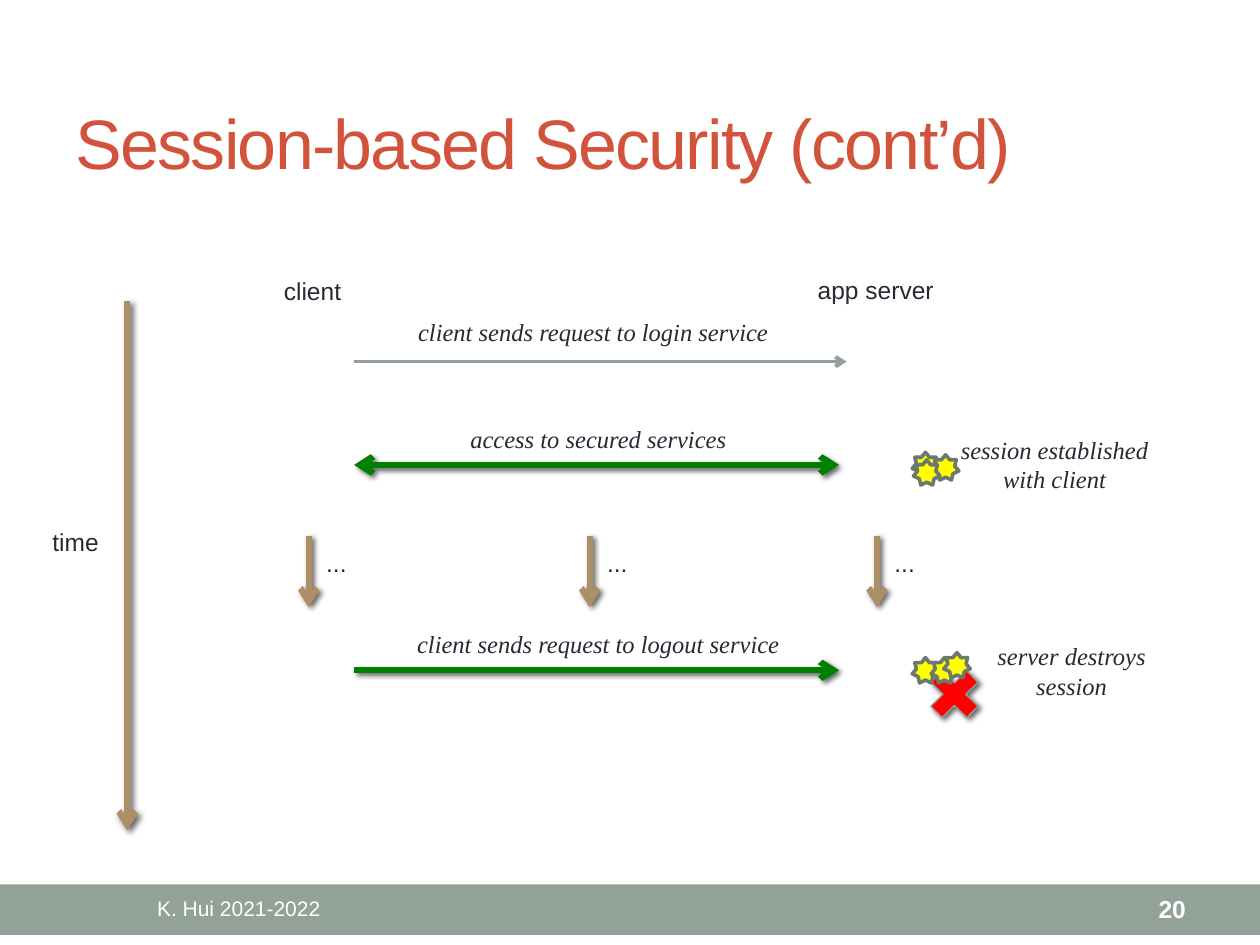
from lxml import etree
from pptx import Presentation
from pptx.dml.color import RGBColor
from pptx.enum.shapes import MSO_CONNECTOR, MSO_SHAPE
from pptx.enum.text import MSO_ANCHOR, MSO_AUTO_SIZE, PP_ALIGN
from pptx.oxml.ns import qn
from pptx.util import Inches, Pt

STRAIGHT = MSO_CONNECTOR.STRAIGHT
RECT, STAR, CROSS = MSO_SHAPE.RECTANGLE, MSO_SHAPE.STAR_7_POINT, MSO_SHAPE.MATH_MULTIPLY
TOP, MIDDLE = MSO_ANCHOR.TOP, MSO_ANCHOR.MIDDLE
LEFT, CENTER, RIGHT = PP_ALIGN.LEFT, PP_ALIGN.CENTER, PP_ALIGN.RIGHT
NO_FIT, GROW = MSO_AUTO_SIZE.NONE, MSO_AUTO_SIZE.SHAPE_TO_FIT_TEXT
SANS, SERIF = "Arial", "Times New Roman"
INK, WHITE, RED_TITLE, SAGE, SAGE_DARK = "292934", "FFFFFF", "D2533C", "93A299", "6D7871"
GREEN, TAN, YELLOW, RED = "008000", "AD8F67", "FFFF00", "FF0000"
COLUMNS, ROWS = 100, 75


def color(hex_text):
    return RGBColor.from_string(hex_text)


class SlideBuilder:
    """Places styled elements on a grid of 100 columns by 75 rows."""

    def __init__(self, prs):
        self.cell_w = prs.slide_width / COLUMNS
        self.cell_h = prs.slide_height / ROWS
        self.slide = prs.slides.add_slide(prs.slide_layouts[5])
        self.shapes = self.slide.shapes

    def box(self, col, row, cols, rows):
        return (round(col * self.cell_w), round(row * self.cell_h),
                round(cols * self.cell_w), round(rows * self.cell_h))

    def effects(self, sp, shadow):
        effect_list = etree.SubElement(sp._element.spPr, qn("a:effectLst"))
        if shadow:
            outer = etree.SubElement(
                effect_list, qn("a:outerShdw"), blurRad=str(Pt(3)), dist=str(Pt(2)),
                dir=str(45 * 60000), algn="tl", rotWithShape="0")
            black = etree.SubElement(outer, qn("a:srgbClr"), val="000000")
            etree.SubElement(black, qn("a:alpha"), val="60000")

    def set_text(self, tf, text, size, hex_text, font, align, italic=False, bold=False):
        tf.text = text
        p = tf.paragraphs[0]
        p.alignment = align
        r = p.runs[0]
        r.font.name, r.font.size = font, Pt(size)
        r.font.italic, r.font.bold = italic, bold
        r.font.color.rgb = color(hex_text)
        return r

    def title(self, text, *grid):
        sp = self.shapes.title
        sp.left, sp.top, sp.width, sp.height = self.box(*grid)
        tf = sp.text_frame
        tf.auto_size, tf.vertical_anchor = NO_FIT, MIDDLE
        r = self.set_text(tf, text, 40, RED_TITLE, SANS, LEFT)
        r._r.get_or_add_rPr().set("spc", "-100")

    def text(self, text, *grid, size=14, hex_text=INK, font=SANS, align=CENTER,
             anchor=TOP, fit=GROW, **style):
        tf = self.shapes.add_textbox(*self.box(*grid)).text_frame
        tf.word_wrap, tf.auto_size, tf.vertical_anchor = True, fit, anchor
        self.set_text(tf, text, size, hex_text, font, align, **style)

    def note(self, text, *grid):
        self.text(text, *grid, font=SERIF, italic=True)

    def shape(self, kind, *grid, fill, line=None, width=0.75, shadow=False):
        sp = self.shapes.add_shape(kind, *self.box(*grid))
        sp.fill.solid()
        sp.fill.fore_color.rgb = color(fill)
        if line:
            sp.line.color.rgb = color(line)
            sp.line.width = Pt(width)
        else:
            sp.line.fill.background()
        self.effects(sp, shadow)

    def star(self, col, row):
        self.shape(STAR, col, row, 2.1, 2, fill=YELLOW, line=SAGE_DARK, width=2.08)

    def arrow(self, *ends, hex_text, width=3.5, both=False, shadow=True):
        sp = self.shapes.add_connector(STRAIGHT, *self.box(*ends))
        sp.line.color.rgb = color(hex_text)
        sp.line.width = Pt(width)
        ln = sp._element.spPr.find(qn("a:ln"))
        for tag in ("a:headEnd", "a:tailEnd") if both else ("a:tailEnd",):
            etree.SubElement(ln, qn(tag), type="arrow")
        self.effects(sp, shadow)


def main():
    prs = Presentation()
    prs.slide_width, prs.slide_height = Inches(10), Inches(7.5)
    s = SlideBuilder(prs)

    # Footer band and title
    s.shape(RECT, 0, 70.2, 100, 4, fill=SAGE)
    s.title("Session-based Security (cont’d)", 5, 5.8, 90, 10.8)

    # Participants and time axis
    s.text("client", 20.7, 21.4, 8.2, 3.4)
    s.text("app server", 63.4, 21.3, 12.2, 3.4)
    s.arrow(10.1, 23.9, 10.1, 65.9, hex_text=TAN)
    s.text("time", 1.9, 41.3, 8.2, 3.4)

    # Login
    s.arrow(28.1, 28.7, 67.2, 28.7, hex_text=SAGE, width=2.08, shadow=False)
    s.note("client sends request to login service", 30.8, 24.7, 32.6, 3.4)

    # Secured access and logout
    for label, label_row, row, both in (
            ("access to secured services", 33.2, 36.9, True),
            ("client sends request to logout service", 49.4, 53.2, False)):
        s.arrow(28.1, row, 66.6, row, hex_text=GREEN, both=both)
        s.note(label, 31.2, label_row, 32.6, 3.4)

    # Time passing between access and logout
    for col in (24.5, 46.8, 69.6):
        s.arrow(col, 42.5, col, 48.2, hex_text=TAN)
        s.text("...", col, 43, 4.4, 3.4)

    # Session established
    s.note("session established with client", 74.5, 34, 18.4, 5.7)
    for col, row in ((72.4, 35.9), (74, 36.1), (72.5, 36.5)):
        s.star(col, row)

    # Session destroyed
    s.note("server destroys session", 77.3, 50.4, 15.5, 5.7)
    s.shape(CROSS, 73, 52.4, 5.5, 5.4, fill=RED, line=SAGE, shadow=True)
    for col, row in ((72.4, 52.2), (73.9, 52.2), (74.9, 51.8)):
        s.star(col, row)

    # Footer text
    footer = dict(hex_text=WHITE, anchor=MIDDLE, fit=NO_FIT)
    s.text("K. Hui 2021-2022", 5, 70.3, 27.9, 3.6, size=12, **footer)
    s.text("20", 83.4, 70.3, 11.7, 3.6, align=RIGHT, bold=True, **footer)

    prs.save("out.pptx")


if __name__ == "__main__":
    main()
